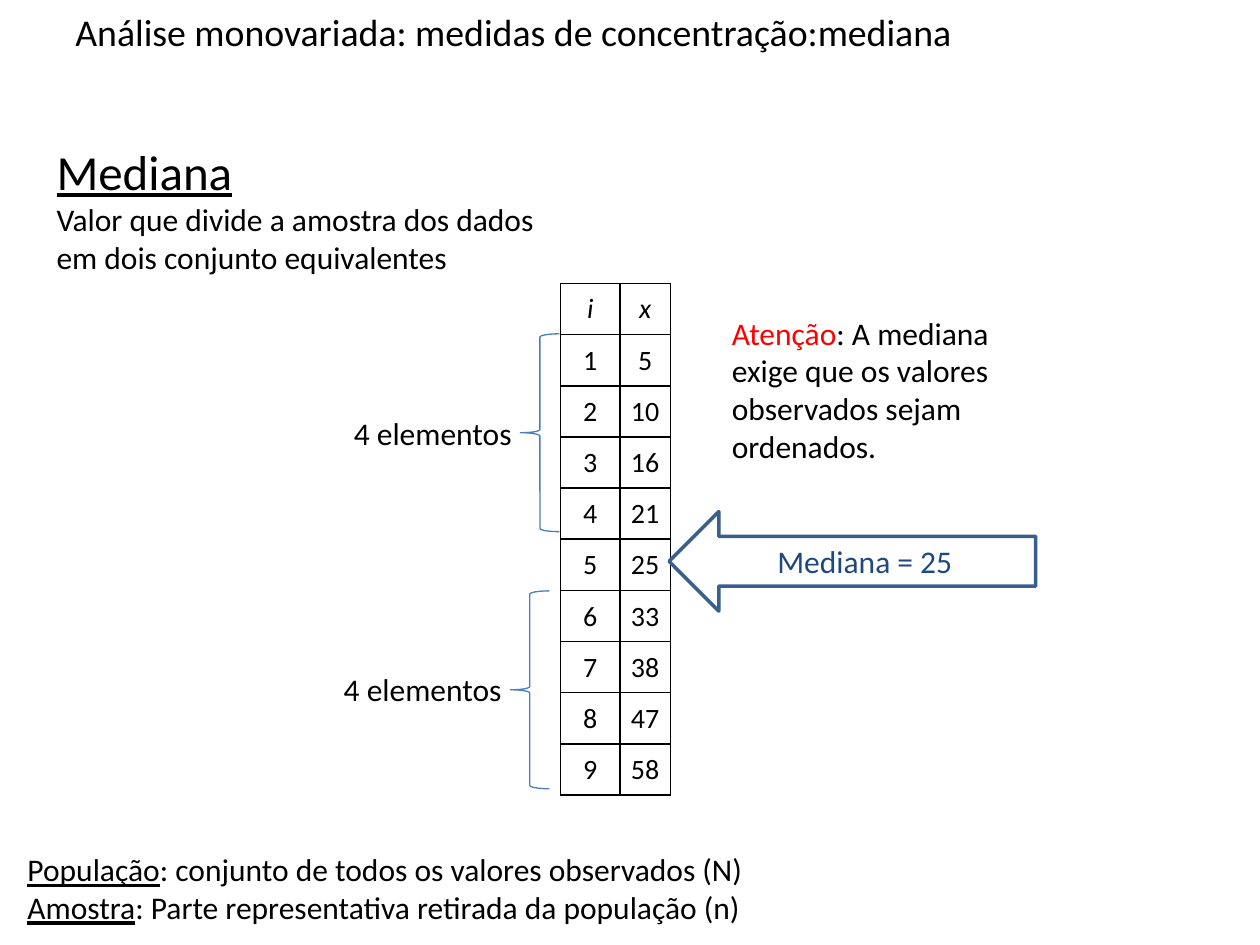
"""Build a slide that explains the median with an ordered table of nine values."""
from lxml import etree
from pptx import Presentation
from pptx.dml.color import RGBColor
from pptx.enum.shapes import MSO_SHAPE
from pptx.enum.text import MSO_ANCHOR, PP_ALIGN
from pptx.oxml.ns import qn
from pptx.util import Inches, Pt

ARROW, BRACE = MSO_SHAPE.LEFT_ARROW, MSO_SHAPE.LEFT_BRACE
MIDDLE, TOP = MSO_ANCHOR.MIDDLE, MSO_ANCHOR.TOP
CENTER, LEFT = PP_ALIGN.CENTER, PP_ALIGN.LEFT

FONT = "Calibri"
COLORS = {"text": "000000", "alert": "FF0000", "median": "1F497D",
          "arrow": "3A5F8C", "brace": "4B7EBC"}

TITLE = [[("Análise monovariada: medidas de concentração:mediana", {"size": 21.6})]]
DEFINITION = [
    [("Mediana", {"size": 28, "underline": True})],
    [("Valor que divide a amostra dos dados em dois conjunto equivalentes", {})],
]
WARNING = [[("Atenção", {"color": "alert"}),
            (": A mediana exige que os valores observados sejam ordenados.", {})]]
GLOSSARY = [
    [("População", {"underline": True}),
     (": conjunto de todos os valores observados (N)", {})],
    [("Amostra", {"underline": True}),
     (": Parte representativa retirada da população (n)", {})],
]
HALF = [[("4 elementos", {})]]
MEDIAN = [[("Mediana = 25", {"color": "median"})]]
VALUES = [5, 10, 16, 21, 25, 33, 38, 47, 58]
ROWS = [("i", "x")] + [(str(i), str(x)) for i, x in enumerate(VALUES, 1)]

TABLE_LEFT, TABLE_TOP, ROW_HEIGHT = 4.45, 2.25, 0.406
COLUMN_WIDTHS = (0.47, 0.4)
BRACE_SIZE = (0.31, 1.57)
TEXTS = [
    (TITLE, (0.5, 0.05, 9, 0.39), True, MIDDLE),
    (DEFINITION, (0.35, 1.07, 4.25, 1.48), True, TOP),
    (WARNING, (5.71, 2.44, 2.52, 1.31), True, TOP),
    (GLOSSARY, (0.12, 6.7, 5.94, 0.71), False, TOP),
    (HALF, (2.71, 3.24, 1.47, 0.4), False, TOP),
    (HALF, (2.63, 5.27, 1.47, 0.4), False, TOP),
]
SHAPES = [
    (ARROW, (5.31, 4.06, 2.91, 0.79), "arrow", 2, MEDIAN),
    (BRACE, (4.13, 2.65, *BRACE_SIZE), "brace", 0.75, []),
    (BRACE, (4.05, 4.69, *BRACE_SIZE), "brace", 0.75, []),
]


def rgb(name):
    return RGBColor.from_string(COLORS[name])


def write(frame, paragraphs, align=LEFT):
    for index, spans in enumerate(paragraphs):
        para = frame.add_paragraph() if index else frame.paragraphs[0]
        para.alignment = align
        for text, style in spans:
            span = para.add_run()
            span.text = text
            font = span.font
            font.name = FONT
            font.size = Pt(style.get("size", 18))
            font.color.rgb = rgb(style.get("color", "text"))
            font.underline = style.get("underline", False)
            font.italic = style.get("italic", False)


def add_text(page, paragraphs, place, wrap, anchor):
    frame = page.shapes.add_textbox(*map(Inches, place)).text_frame
    frame.word_wrap = wrap
    frame.vertical_anchor = anchor
    write(frame, paragraphs)


def add_outline(page, kind, place, color, width, paragraphs):
    shape = page.shapes.add_shape(kind, *map(Inches, place))
    shape.shadow.inherit = False
    shape.fill.background()
    shape.line.color.rgb = rgb(color)
    shape.line.width = Pt(width)
    shape.text_frame.vertical_anchor = MIDDLE
    write(shape.text_frame, paragraphs, CENTER)


def add_borders(cell):
    properties = cell._tc.get_or_add_tcPr()
    for position, side in enumerate(("lnL", "lnR", "lnT", "lnB")):
        line = etree.Element(qn(f"a:{side}"), w=str(Pt(1)))
        fill = etree.SubElement(line, qn("a:solidFill"))
        etree.SubElement(fill, qn("a:srgbClr"), val=COLORS["text"])
        properties.insert(position, line)


def add_values(page):
    size = (sum(COLUMN_WIDTHS), ROW_HEIGHT * len(ROWS))
    table = page.shapes.add_table(
        len(ROWS), len(COLUMN_WIDTHS),
        *map(Inches, (TABLE_LEFT, TABLE_TOP, *size))).table
    for column, width in zip(table.columns, COLUMN_WIDTHS):
        column.width = Inches(width)
    for r, row in enumerate(ROWS):
        table.rows[r].height = Inches(ROW_HEIGHT)
        for c, text in enumerate(row):
            cell = table.cell(r, c)
            cell.fill.background()
            cell.vertical_anchor = MIDDLE
            if r:
                cell.margin_left = cell.margin_right = cell.margin_top = Inches(0.01)
                cell.margin_bottom = 0
            write(cell.text_frame, [[(text, {"size": 16, "italic": r == 0})]], CENTER)
            add_borders(cell)


def main():
    deck = Presentation()
    deck.slide_width, deck.slide_height = Inches(10), Inches(7.5)
    page = deck.slides.add_slide(deck.slide_layouts[6])
    add_values(page)
    for text in TEXTS:
        add_text(page, *text)
    for shape in SHAPES:
        add_outline(page, *shape)
    deck.save("out.pptx")


main()
